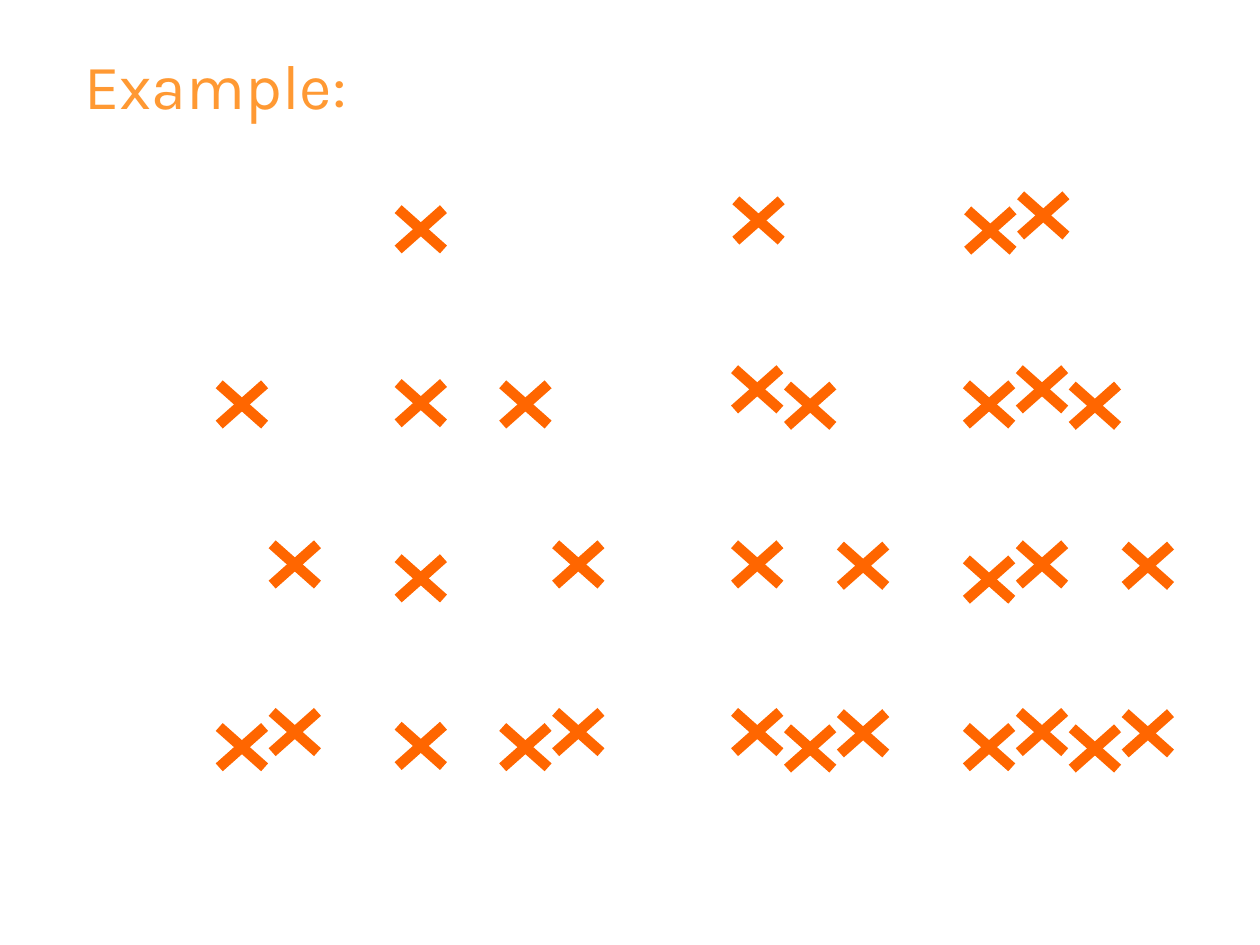
from dataclasses import dataclass

from lxml import etree
from pptx import Presentation
from pptx.dml.color import RGBColor
from pptx.enum import shapes, text
from pptx.oxml import ns
from pptx.util import Pt

PX = 9144  # EMU per px, 100 px to the inch


@dataclass(frozen=True)
class Theme:
    title_color: RGBColor = RGBColor(0xFF, 0x99, 0x33)
    mark_color: RGBColor = RGBColor(0xFF, 0x66, 0x00)
    font: str = "Karla"
    title_size: int = 36
    mark_weight: int = 6


THEME = Theme()

MARK_WIDTH, MARK_HEIGHT = 36, 32
SLOT_PITCH = 42

# Each row adds its own slots after the fixed marks of a column
ROWS = [(0, ()), (138, (0,)), (277, (0, 1)[1:]), (410, (0, 1))]

# Column left, number of fixed marks, whether row slots are added, drop of each slot
COLUMNS = [
    (0, 0, True, (12, 0)),
    (142, 1, False, (11,)),
    (225, 0, True, (12, 0)),
    (409, 1, True, (0, 13, 1)),
    (593, 2, True, (12, 0, 13, 1)),
]

# Small shifts of single cells, by row and column
SHIFTS = {(0, 3): (1, 4), (0, 4): (1, 0)}


def add_title(slide, left, top, width, height):
    shape = slide.shapes.add_textbox(*(n * PX for n in (left, top, width, height)))
    frame = shape.text_frame
    frame.word_wrap = True
    frame.auto_size = text.MSO_AUTO_SIZE.SHAPE_TO_FIT_TEXT
    run = frame.paragraphs[0].add_run()
    run.text = "Example:"
    run.font.name = THEME.font
    run.font.size = Pt(THEME.title_size)
    run.font.color.rgb = THEME.title_color


def add_cross(slide, left, top):
    group = slide.shapes.add_group_shape()
    right, bottom = left + MARK_WIDTH, top + MARK_HEIGHT
    for start, end in ((left, right), (right, left)):
        line = group.shapes.add_connector(
            shapes.MSO_CONNECTOR.STRAIGHT,
            start * PX, top * PX, end * PX, bottom * PX)
        line.line.color.rgb = THEME.mark_color
        line.line.width = Pt(THEME.mark_weight)
        etree.SubElement(line._element.spPr, ns.qn("a:effectLst"))


def add_cross_grid(slide, left, top):
    for row, (row_top, row_slots) in enumerate(ROWS):
        for column, (column_left, fixed, follows_row, drops) in enumerate(COLUMNS):
            slots = list(range(fixed))
            if follows_row:
                slots += [fixed + slot for slot in row_slots]
            shift_x, shift_y = SHIFTS.get((row, column), (0, 0))
            for slot in slots:
                add_cross(slide,
                          left + column_left + slot * SLOT_PITCH + shift_x,
                          top + row_top + drops[slot] + shift_y)


def main():
    presentation = Presentation()
    presentation.slide_width = 1000 * PX
    presentation.slide_height = 750 * PX
    slide = presentation.slides.add_slide(presentation.slide_layouts[6])

    # Grid of crosses, then the title
    add_cross_grid(slide, 174, 155)
    add_title(slide, 57, 32, 612, 71)

    presentation.save("out.pptx")


if __name__ == "__main__":
    main()
